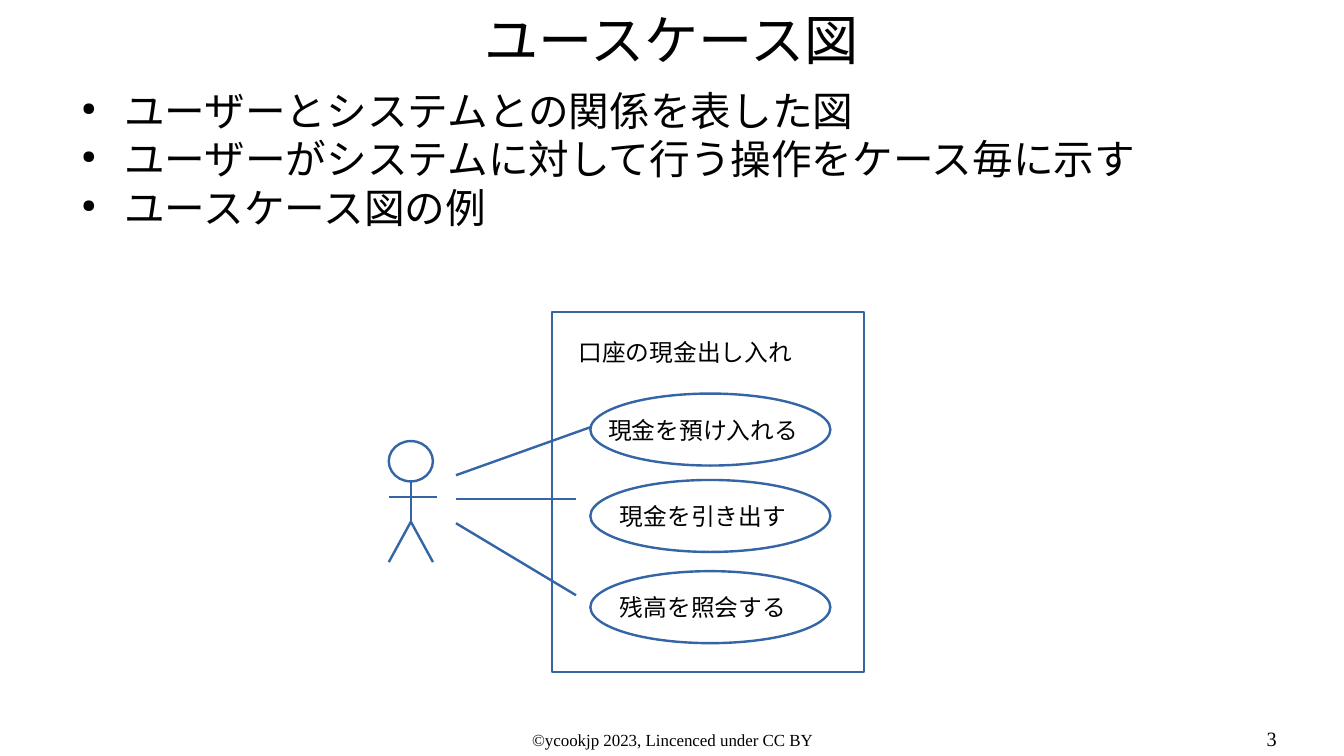
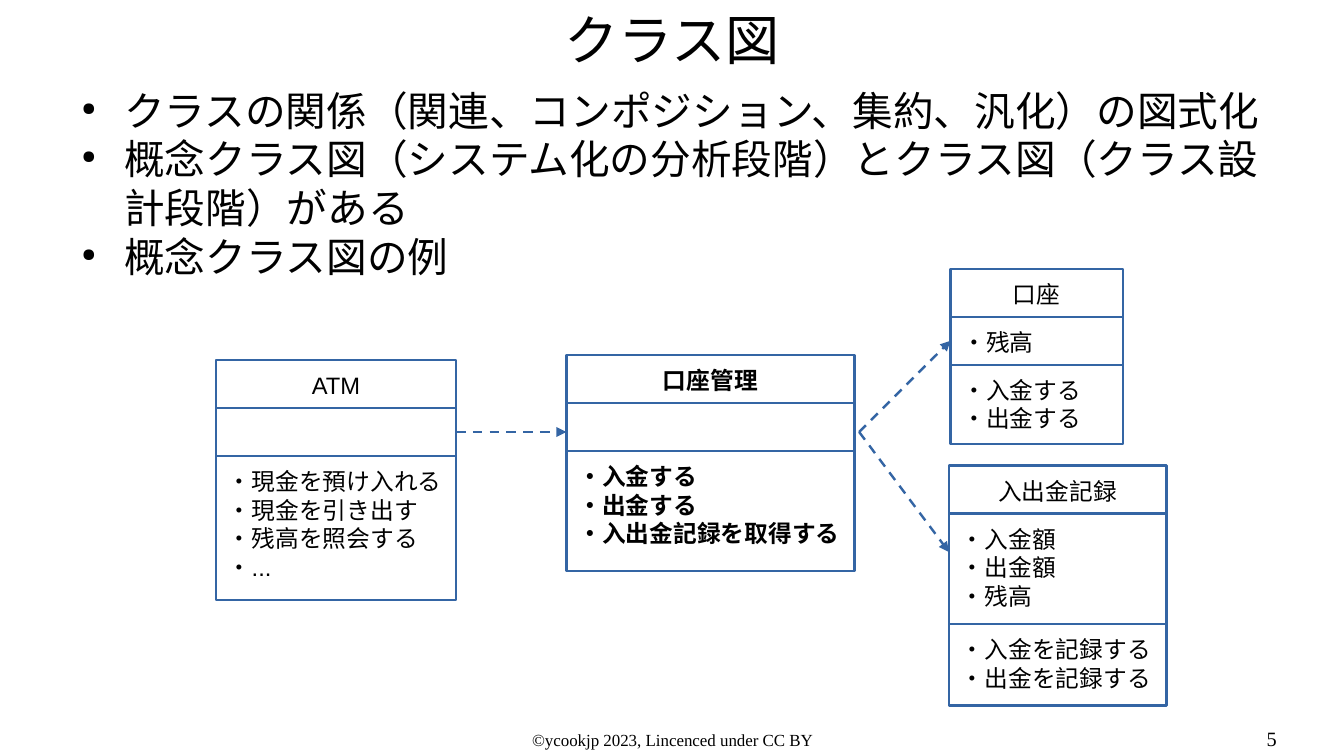
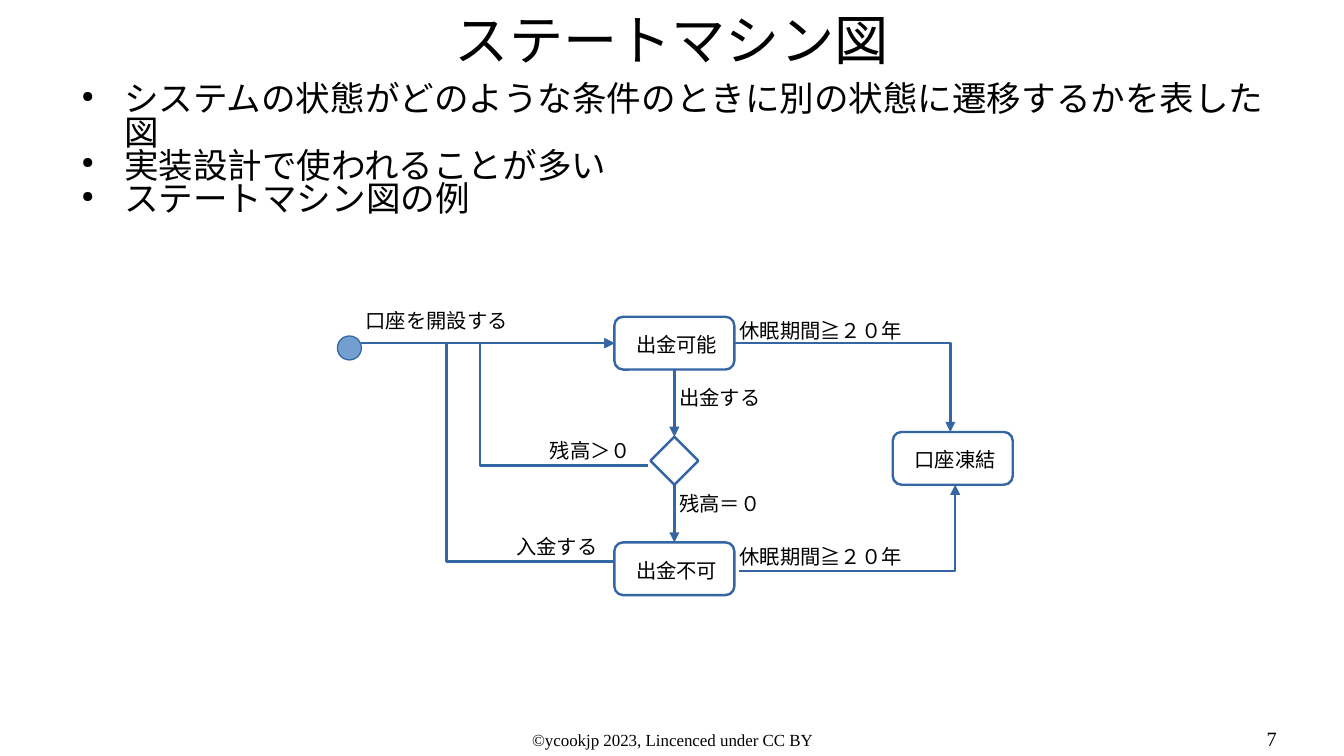
from dataclasses import dataclass

from lxml import etree
from pptx import Presentation
from pptx.dml.color import RGBColor
from pptx.enum import dml, shapes, text
from pptx.oxml import ns
from pptx.util import Cm, Pt


@dataclass(frozen=True)
class Theme:
    ink: RGBColor = RGBColor(0x00, 0x00, 0x00)
    outline: RGBColor = RGBColor(0x34, 0x65, 0xA4)
    node: RGBColor = RGBColor(0x72, 0x9F, 0xCF)
    font: str = "Arial"
    footer_font: str = "Times New Roman"
    title: float = 32
    body: float = 24
    body_small: float = 20.4
    diagram: float = 14
    state: float = 12
    footer: float = 10
    number: float = 12
    line: float = 1.42


THEME = Theme()
LEFT, CENTER, RIGHT = text.PP_ALIGN.LEFT, text.PP_ALIGN.CENTER, text.PP_ALIGN.RIGHT
TOP, MIDDLE = text.MSO_ANCHOR.TOP, text.MSO_ANCHOR.MIDDLE
PRESET = shapes.MSO_SHAPE
SIDE_TOP, SIDE_LEFT, SIDE_BOTTOM, SIDE_RIGHT = range(4)
NO_INSETS = (0, 0, 0, 0)
BOX_INSETS = (0.25, 0.13, 0.25, 0.13)
FOOTER = "©ycookjp 2023, Lincenced under CC BY"

# All positions and lengths below are centimetres.
USE_CASE = {
    "title": "ユースケース図",
    "number": 3,
    "bullets": [
        "ユーザーとシステムとの関係を表した図",
        "ユーザーがシステムに対して行う操作をケース毎に示す",
        "ユースケース図の例",
    ],
}
SYSTEM_NAME = "口座の現金出し入れ"
# Case, top of its ellipse, start and end of the line from the actor
CASES = [
    ("現金を預け入れる", 8.2, (9.5, 9.9), (12.3, 8.9)),
    ("現金を引き出す", 10.0, (9.5, 10.4), (12, 10.4)),
    ("残高を照会する", 11.9, (9.5, 10.9), (12, 12.4)),
]

CLASS = {
    "title": "クラス図",
    "number": 5,
    "bullets": [
        "クラスの関係（関連、コンポジション、集約、汎化）の図式化",
        "概念クラス図（システム化の分析段階）とクラス図（クラス設計段階）がある",
        "概念クラス図の例",
    ],
}
# Left, top, width, then the height and lines of name, attributes, operations
CLASSES = {
    "ATM": (4.5, 7.5, 5, [
        (1, ["ATM"]),
        (1, []),
        (3, ["・現金を預け入れる", "・現金を引き出す", "・残高を照会する", "・..."]),
    ]),
    "口座": (19.8, 5.6, 3.6, [
        (1, ["口座"]),
        (1, ["・残高"]),
        (1.65, ["・入金する", "・出金する"]),
    ]),
    "入出金記録": (19.77, 9.7, 4.53, [
        (1, ["入出金記録"]),
        (2.3, ["・入金額", "・出金額", "・残高"]),
        (1.7, ["・入金を記録する", "・出金を記録する"]),
    ]),
    "口座管理": (11.8, 7.4, 6, [
        (1, ["口座管理"]),
        (1, []),
        (2.5, ["・入金する", "・出金する", "・入出金記録を取得する"]),
    ]),
}
BOLD_CLASS = "口座管理"

STATE_MACHINE = {
    "title": "ステートマシン図",
    "number": 7,
    "bullets": [
        "システムの状態がどのような条件のときに別の状態に遷移するかを表した図",
        "実装設計で使われることが多い",
        "ステートマシン図の例",
    ],
    "size": THEME.body_small,
    "spacing": 0.8,
}
STATES = {"出金可能": (12.8, 6.6), "出金不可": (12.8, 11.3), "口座凍結": (18.6, 9)}
STATE_SIZE = (2.5, 1.1)
ENTRY_Y = 7.15
BENT_ARROWS = [
    [(13.5, 9.7), (10, 9.7), (10, ENTRY_Y), (12.8, ENTRY_Y)],
    [(12.8, 11.7), (9.3, 11.7), (9.3, ENTRY_Y), (12.8, ENTRY_Y)],
    [(15.3, ENTRY_Y), (19.8, ENTRY_Y), (19.8, 9)],
    [(15.4, 11.9), (19.9, 11.9), (19.9, 10.1)],
]
# Text, left, top, width
TRANSITIONS = [
    ("口座を開設する", 7.1, 6.3, 4),
    ("出金する", 13.8, 7.9, 2.4),
    ("残高＞０", 11.1, 9, 2.4),
    ("残高＝０", 13.8, 10.1, 2.4),
    ("入金する", 10.4, 11, 2.4),
    ("休眠期間≧２０年", 14.9, 6.5, 4.4),
    ("休眠期間≧２０年", 14.9, 11.2, 4.4),
]


def write(shape, lines, size, align=LEFT, anchor=TOP, insets=BOX_INSETS, wrap=True,
          font=THEME.font, bold=False, bullets=False, spacing=None):
    frame = shape.text_frame
    frame.word_wrap = wrap
    frame.vertical_anchor = anchor
    (frame.margin_left, frame.margin_top,
     frame.margin_right, frame.margin_bottom) = map(Cm, insets)
    for index, line in enumerate(lines):
        paragraph = frame.add_paragraph() if index else frame.paragraphs[0]
        paragraph.text = line
        paragraph.alignment = align
        if spacing:
            paragraph.line_spacing = spacing
        if bullets:
            add_bullet(paragraph)
        paragraph.font.name = font
        paragraph.font.size = Pt(size)
        paragraph.font.bold = bold
        paragraph.font.color.rgb = THEME.ink


def add_bullet(paragraph):
    properties = paragraph._p.get_or_add_pPr()
    properties.set("marL", str(Cm(1.19)))
    properties.set("indent", str(Cm(-0.89)))
    color = etree.SubElement(properties, ns.qn("a:buClr"))
    etree.SubElement(color, ns.qn("a:srgbClr"), val=str(THEME.ink))
    etree.SubElement(properties, ns.qn("a:buSzPct"), val="45000")
    etree.SubElement(properties, ns.qn("a:buChar"), char="●")


def add_text(slide, box, lines, size, **style):
    write(slide.shapes.add_textbox(*map(Cm, box)), lines, size, **style)


def style_line(line, arrow=False, dashed=False):
    line.color.rgb = THEME.outline
    line.width = Pt(THEME.line)
    if dashed:
        line.dash_style = dml.MSO_LINE.DASH
    if arrow:
        etree.SubElement(line._get_or_add_ln(), ns.qn("a:tailEnd"), type="triangle")


def add_outline(slide, preset, box):
    shape = slide.shapes.add_shape(preset, *map(Cm, box))
    shape.shadow.inherit = False
    shape.fill.background()
    style_line(shape.line)
    return shape


def add_line(slide, start, end, begin_at=None, end_at=None, **style):
    """Draw a straight line; begin_at and end_at are (shape, side) joints."""
    connector = slide.shapes.add_connector(
        shapes.MSO_CONNECTOR.STRAIGHT, *map(Cm, (*start, *end)))
    if begin_at:
        connector.begin_connect(*begin_at)
    if end_at:
        connector.end_connect(*end_at)
    style_line(connector.line, **style)
    etree.SubElement(connector._element.spPr, ns.qn("a:effectLst"))


def add_bent_arrow(slide, points):
    start, *rest = [tuple(map(Cm, point)) for point in points]
    builder = slide.shapes.build_freeform(*start)
    builder.add_line_segments(rest, close=False)
    shape = builder.convert_to_shape()
    shape.shadow.inherit = False
    shape.fill.background()
    style_line(shape.line, arrow=True)


def add_slide(presentation, content):
    slide = presentation.slides.add_slide(presentation.slide_layouts[6])
    add_text(slide, (1.4, 0.08, 25.2, 1.47), [content["title"]], THEME.title,
             align=CENTER, anchor=MIDDLE, insets=NO_INSETS)
    add_text(slide, (1.4, 1.78, 25.2, 4.72), content["bullets"],
             content.get("size", THEME.body), insets=NO_INSETS, bullets=True,
             spacing=content.get("spacing"))
    add_text(slide, (9.58, 15.19, 8.86, 0.5), [FOOTER], THEME.footer,
             align=CENTER, insets=NO_INSETS, font=THEME.footer_font)
    add_text(slide, (20.07, 15.14, 6.53, 0.6), [str(content["number"])], THEME.number,
             align=RIGHT, insets=NO_INSETS, font=THEME.footer_font)
    return slide


def draw_actor(slide):
    left, right, center = 8.1, 9.02, 8.56
    neck, arms, hips, feet = 10.03, 10.36, 10.87, 11.71
    add_outline(slide, PRESET.OVAL, (left, 9.19, right - left, 0.84))
    for start, end in [
        ((left, arms), (9.1, arms)),
        ((center, neck), (center, hips)),
        ((center, hips), (left, feet)),
        ((center, hips), (right, feet)),
    ]:
        add_line(slide, start, end)


def draw_use_cases(slide):
    draw_actor(slide)
    add_outline(slide, PRESET.RECTANGLE, (11.5, 6.5, 6.5, 7.5))
    add_text(slide, (11.8, 6.9, 5.5, 1), [SYSTEM_NAME], THEME.diagram)
    for name, top, start, end in CASES:
        ellipse = add_outline(slide, PRESET.OVAL, (12.3, top, 5, 1.5))
        write(ellipse, [name], THEME.diagram, align=CENTER, anchor=MIDDLE,
              insets=(0, 0, 0.3, 0), wrap=False)
        add_line(slide, start, end)


def draw_class(slide, name):
    """Stack the three compartments and return the attribute compartment."""
    left, top, width, compartments = CLASSES[name]
    boxes = []
    for height, lines in compartments:
        box = add_outline(slide, PRESET.RECTANGLE, (left, top, width, height))
        if lines:
            write(box, lines, THEME.diagram, align=LEFT if boxes else CENTER,
                  insets=(0.25, 0.23, 0 if boxes else 0.25, 0),
                  bold=name == BOLD_CLASS)
        boxes.append(box)
        top += height
    return boxes[1]


def draw_classes(slide):
    attributes = {name: draw_class(slide, name) for name in CLASSES}
    dashed_arrow = {"arrow": True, "dashed": True}
    add_line(slide, (9.5, 9), (11.8, 9),
             begin_at=(attributes["ATM"], SIDE_RIGHT), **dashed_arrow)
    add_line(slide, (17.9, 9), (19.8, 7.1),
             end_at=(attributes["口座"], SIDE_LEFT), **dashed_arrow)
    add_line(slide, (17.9, 9), (19.77, 11.5), **dashed_arrow)


def draw_states(slide):
    start = slide.shapes.add_shape(PRESET.OVAL, *map(Cm, (7.03, 7, 0.5, 0.5)))
    start.shadow.inherit = False
    start.fill.solid()
    start.fill.fore_color.rgb = THEME.node
    start.line.color.rgb = THEME.outline
    start.line.width = Pt(0)

    boxes = {}
    for name, corner in STATES.items():
        boxes[name] = add_outline(slide, PRESET.ROUNDED_RECTANGLE, (*corner, *STATE_SIZE))
        write(boxes[name], [name], THEME.state, align=CENTER, anchor=MIDDLE,
              insets=(0.1, 0.05, 0, 0), wrap=False)
    active, blocked = boxes["出金可能"], boxes["出金不可"]
    decision = add_outline(slide, PRESET.DIAMOND, (13.55, 9.1, 1, 1))

    add_line(slide, (7.53, ENTRY_Y), (12.8, ENTRY_Y),
             end_at=(active, SIDE_LEFT), arrow=True)
    for upper, lower in [(active, decision), (decision, blocked)]:
        add_line(slide, (14.05, 9), (14.05, 10), begin_at=(upper, SIDE_BOTTOM),
                 end_at=(lower, SIDE_TOP), arrow=True)
    for points in BENT_ARROWS:
        add_bent_arrow(slide, points)
    for label, left, top, width in TRANSITIONS:
        add_text(slide, (left, top, width, 0.8), [label], THEME.state,
                 align=CENTER, wrap=False)


def main():
    presentation = Presentation()
    presentation.slide_width, presentation.slide_height = Cm(28), Cm(15.75)
    for content, draw in [
        (USE_CASE, draw_use_cases),
        (CLASS, draw_classes),
        (STATE_MACHINE, draw_states),
    ]:
        draw(add_slide(presentation, content))
    presentation.save("out.pptx")


if __name__ == "__main__":
    main()
